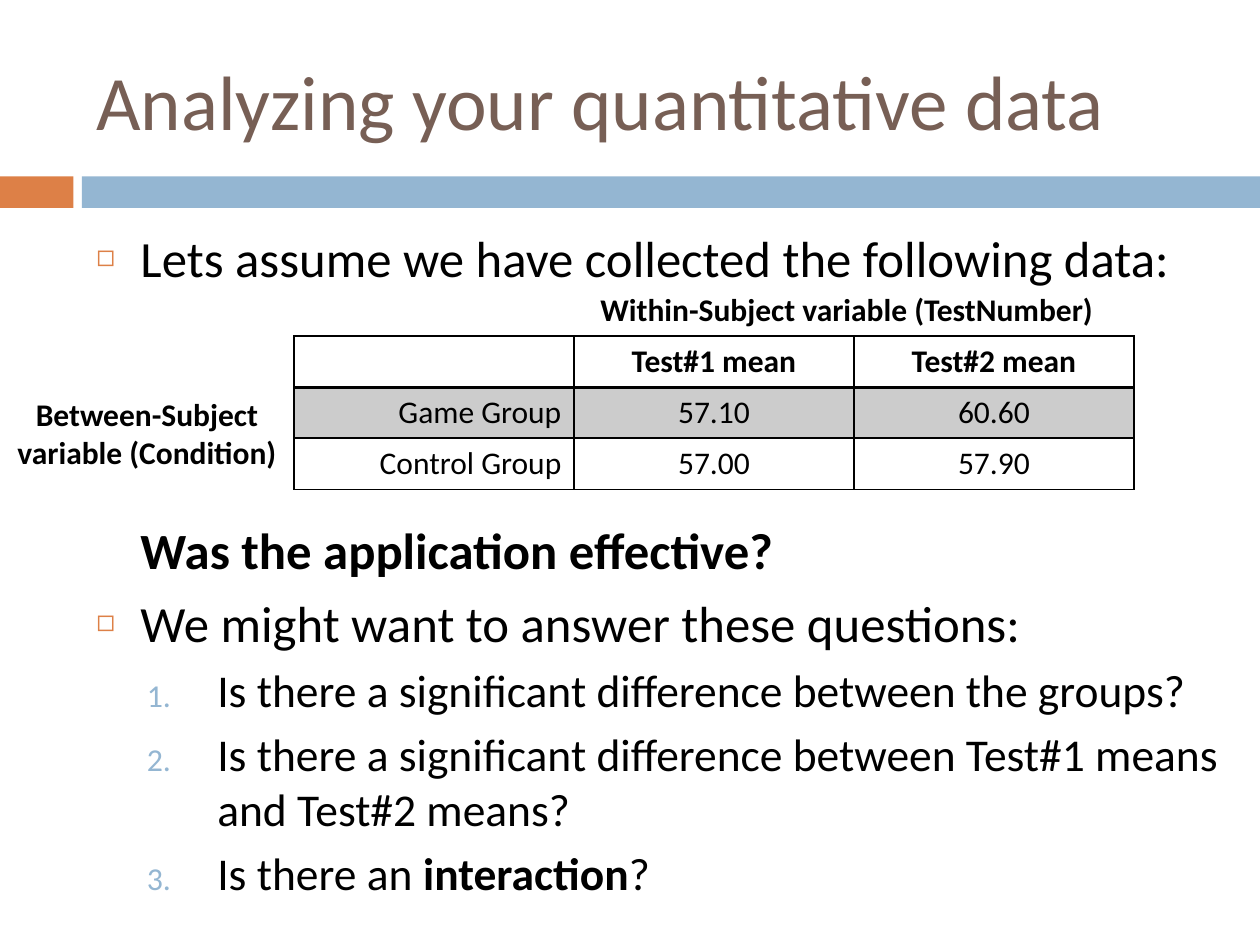
from lxml import etree
from pptx import Presentation, util as u
from pptx.dml.color import RGBColor
from pptx.enum import shapes, text
from pptx.oxml import ns

BLACK = RGBColor(0x00, 0x00, 0x00)
GREY = RGBColor(0xCC, 0xCC, 0xCC)
BROWN = RGBColor(0x77, 0x5F, 0x55)
ORANGE = RGBColor(0xDD, 0x80, 0x47)
BLUE = RGBColor(0x94, 0xB6, 0xD2)
FONT = "Calibri"
SLIDE_WIDTH, SLIDE_HEIGHT = u.Inches(10), u.Inches(7.5)
UNIT = SLIDE_WIDTH / 120

SQUARE = ("buChar", {"char": "◻"}, ORANGE, 60)
NUMBER = ("buAutoNum", {"type": "arabicPeriod"}, BLUE, 70)
# Bullet, left margin and hanging indent in inches, space before, size, (text, bold) runs
BODY = [
    (SQUARE, 0.35, 0.35, 0, 29, [("Lets assume we have collected the following data:", False)]),
    (None, 0.35, 0, 132, 29, [("Was the application effective?", True)]),
    (SQUARE, 0.35, 0.35, 7, 29, [("We might want to answer these questions:", False)]),
    (NUMBER, 0.96, 0.56, 5.5, 26,
     [("Is there a significant difference between the groups?", False)]),
    (NUMBER, 0.96, 0.56, 5.5, 26,
     [("Is there a significant difference between Test#1 means and Test#2 means?", False)]),
    (NUMBER, 0.96, 0.56, 5.5, 26,
     [("Is there an ", False), ("interaction", True), ("?", False)]),
]
MEANS = [
    ("", "Test#1 mean", "Test#2 mean"),
    ("Game Group", "57.10", "60.60"),
    ("Control Group", "57.00", "57.90"),
]


def grid(*cells):
    """Turn grid columns and rows into slide lengths."""
    return [u.Emu(round(cell * UNIT)) for cell in cells]


def add_xml(parent, tag, **attributes):
    return etree.SubElement(parent, ns.qn(f"a:{tag}"), attributes)


def add_run(para, words, size, bold=False, color=BLACK):
    span = para.add_run()
    span.text = words
    span.font.name = FONT
    span.font.size = u.Pt(size)
    span.font.bold = bold
    span.font.color.rgb = color


def add_bar(page, color, *place):
    bar = page.shapes.add_shape(shapes.MSO_SHAPE.RECTANGLE, *grid(*place))
    bar.shadow.inherit = False
    bar.fill.solid()
    bar.fill.fore_color.rgb = color
    bar.line.fill.background()


def add_box(page, *place):
    box = page.shapes.add_textbox(*grid(*place))
    box.text_frame.word_wrap = True
    return box.text_frame


def add_label(page, words, align, *place):
    para = add_box(page, *place).paragraphs[0]
    para.alignment = align
    add_run(para, words, 18, bold=True)


def add_title(page, words, *place):
    frame = add_box(page, *place)
    frame.vertical_anchor = text.MSO_ANCHOR.MIDDLE
    add_run(frame.paragraphs[0], words, 44, color=BROWN)


def set_bullet(para, bullet, margin, hanging):
    properties = para._p.get_or_add_pPr()
    properties.set("marL", str(u.Inches(margin)))
    properties.set("indent", str(-u.Inches(hanging)))
    if bullet is None:
        add_xml(properties, "buNone")
        return
    tag, attributes, color, percent = bullet
    add_xml(add_xml(properties, "buClr"), "srgbClr", val=str(color))
    add_xml(properties, "buSzPct", val=str(percent * 1000))
    add_xml(properties, "buFont", typeface=FONT)
    add_xml(properties, tag, **attributes)


def add_body(page, *place):
    frame = add_box(page, *place)
    for index, (bullet, margin, hanging, before, size, runs) in enumerate(BODY):
        para = frame.add_paragraph() if index else frame.paragraphs[0]
        set_bullet(para, bullet, margin, hanging)
        para.space_before = u.Pt(before)
        for words, bold in runs:
            add_run(para, words, size, bold)


def set_borders(cell, **widths):
    """Draw black borders; widths in points are keyed by side: L, R, T, B."""
    properties = cell._tc.get_or_add_tcPr()
    for side, width in widths.items():
        line = add_xml(properties, f"ln{side}", w=str(u.Pt(width)))
        add_xml(add_xml(line, "solidFill"), "srgbClr", val=str(BLACK))


def add_means_table(page, *place):
    frame = page.shapes.add_table(len(MEANS), len(MEANS[0]), *grid(*place))
    table = frame.table
    table.first_row = table.horz_banding = False
    for row, values in enumerate(MEANS):
        for column, value in enumerate(values):
            cell = table.cell(row, column)
            set_borders(cell, L=1, R=1, T=2 if row == 1 else 1, B=2 if row == 0 else 1)
            if row == 1:
                cell.fill.solid()
                cell.fill.fore_color.rgb = GREY
            else:
                cell.fill.background()
            para = cell.text_frame.paragraphs[0]
            para.alignment = text.PP_ALIGN.CENTER if column else text.PP_ALIGN.RIGHT
            if value:
                add_run(para, value, 18, bold=row == 0)


def main():
    deck = Presentation()
    deck.slide_width, deck.slide_height = SLIDE_WIDTH, SLIDE_HEIGHT
    page = deck.slides.add_slide(deck.slide_layouts[6])
    add_bar(page, ORANGE, 0, 16.8, 7, 3)
    add_bar(page, BLUE, 7.8, 16.8, 112.2, 3)
    add_title(page, "Analyzing your quantitative data", 8, 3, 107, 13)
    add_body(page, 8, 21, 110, 67)
    add_means_table(page, 28, 32, 80, 14.6)
    add_label(page, "Between-Subject variable (Condition)", text.PP_ALIGN.CENTER,
              0, 37, 28, 8.5)
    add_label(page, "Within-Subject variable (TestNumber)", text.PP_ALIGN.LEFT,
              56, 27, 50, 4.8)
    deck.save("out.pptx")


if __name__ == "__main__":
    main()
